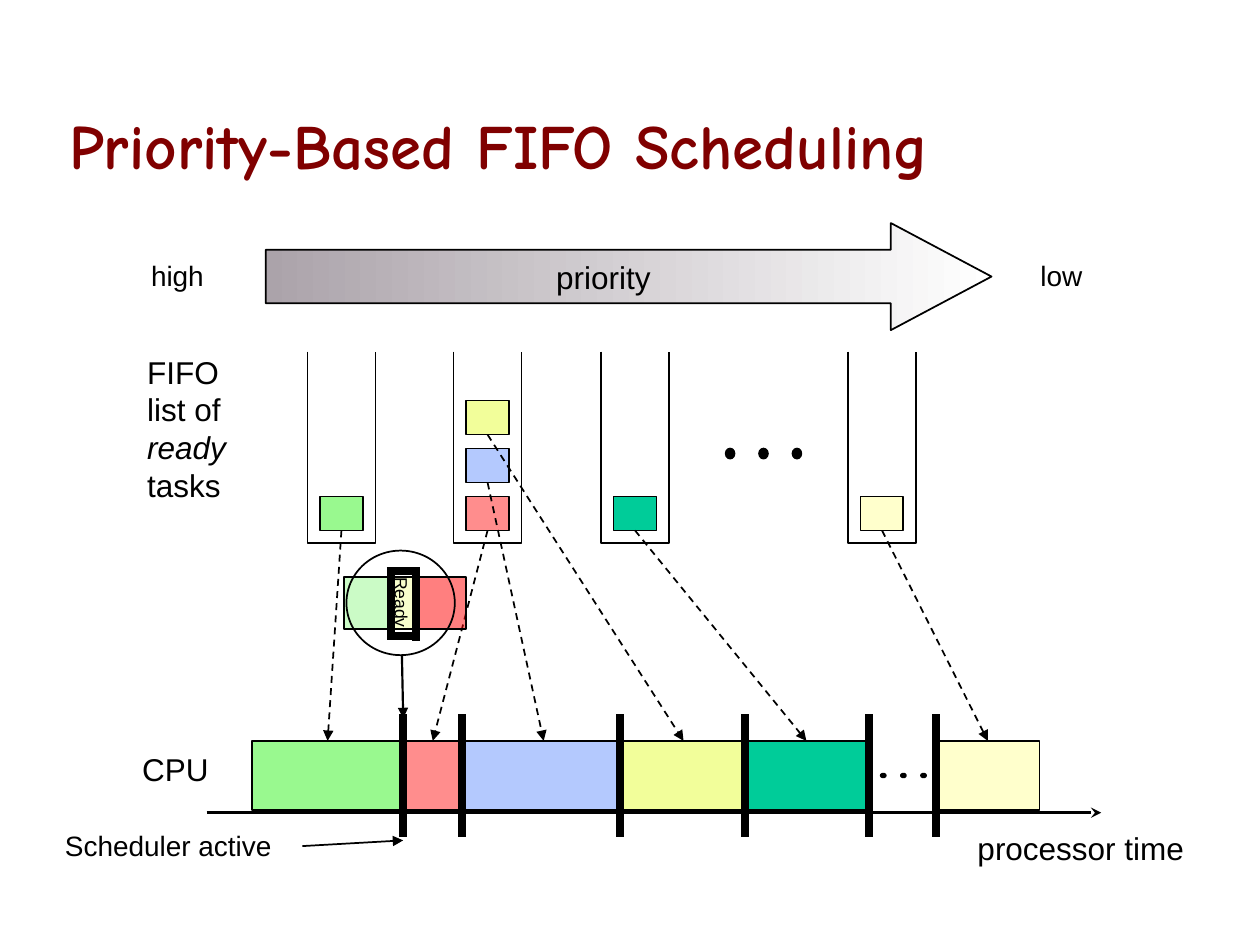
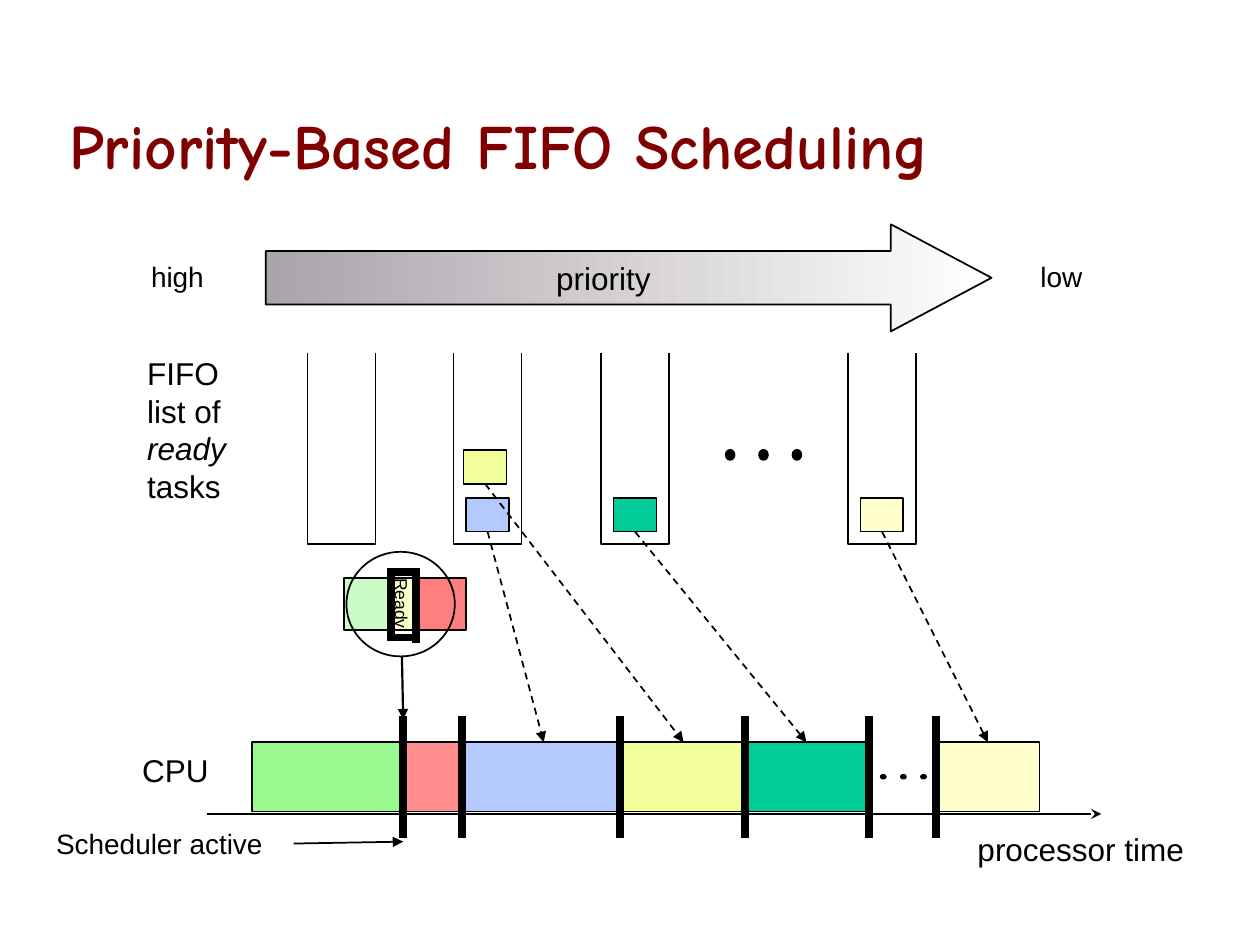
"""Build two slides that step through priority-based FIFO scheduling."""
from dataclasses import dataclass

from pptx import Presentation
from pptx.dml.color import RGBColor
from pptx.enum.dml import MSO_LINE
from pptx.enum.shapes import MSO_CONNECTOR, MSO_SHAPE
from pptx.enum.text import MSO_ANCHOR, MSO_AUTO_SIZE, PP_ALIGN
from pptx.oxml.ns import qn
from pptx.oxml.xmlchemy import OxmlElement
from pptx.util import Inches, Pt

RECT, OVAL, ARROW = MSO_SHAPE.RECTANGLE, MSO_SHAPE.OVAL, MSO_SHAPE.RIGHT_ARROW
STRAIGHT, DASH = MSO_CONNECTOR.STRAIGHT, MSO_LINE.DASH
LEFT, CENTER = PP_ALIGN.LEFT, PP_ALIGN.CENTER
TOP, MIDDLE, BOTTOM = MSO_ANCHOR.TOP, MSO_ANCHOR.MIDDLE, MSO_ANCHOR.BOTTOM
FIT = MSO_AUTO_SIZE.SHAPE_TO_FIT_TEXT

COLORS = {
    "ink": "000000", "title": "800000", "grey": "ABA3AA", "white": "FFFFFF",
    "green": "99F98F", "red": "FF8D8D", "blue": "B4C9FE", "yellow": "F2FE9A",
    "teal": "00CC99", "cream": "FFFFCC", "pure red": "FF0000",
}
TITLE = "Priority-Based FIFO Scheduling"
LABELS = [
    (["high"], (1.1, 2, 0.62, 0.37), 16),
    (["low"], (8.16, 2, 0.54, 0.37), 16),
    (["FIFO", "list of", "ready", "tasks"], (1.07, 2.75, 0.83, 1.3), 18),
    (["CPU"], (1.03, 5.9, 0.73, 0.4), 18),
    (["processor time"], (7.66, 6.53, 1.84, 0.4), 18),
]
ITALIC = {"ready"}
CPU_BLOCKS = {
    "green": (2, 1.2), "red": (3.2, 0.47), "blue": (3.68, 1.27),
    "yellow": (4.94, 0.97), "teal": (5.91, 0.98), "cream": (7.43, 0.82),
}
SWITCHES = [3.2, 3.67, 4.92, 5.91, 6.9, 7.43]
QUEUES = [2.44, 3.6, 4.77, 6.73]
QUEUE_TOP, QUEUE_W, QUEUE_H = 2.79, 0.54, 1.52
TASK_W, TASK_H, TASK_INSET, TASK_TOP, TASK_STEP = 0.34, 0.27, 0.1, 3.94, 0.38
CPU_TOP, CPU_H = 5.88, 0.55
ZOOM_BLOCKS = [("pure red", 3.31, 0.39, ""), ("green", 2.73, 0.37, ""),
               ("yellow", 3.09, 0.2, "Ready")]
ZOOM_FRAME = [((3.1, 4.52), (3.1, 5.08)), ((3.3, 4.53), (3.3, 5.09)),
              ((3.07, 4.53), (3.33, 4.53)), ((3.1, 5.05), (3.32, 5.05))]
STEPS = [
    {"drop": 0, "note": (0.27, 6.53),
     "queues": [["green"], ["red", "blue", "yellow"], ["teal"], ["cream"]],
     "nudge": {}},
    {"drop": 0.01, "note": (0.2, 6.5),
     "queues": [[], ["blue", "yellow"], ["teal"], ["cream"]],
     "nudge": {"yellow": -0.02}},
]


def rgb(name):
    return RGBColor.from_string(COLORS[name])


def write(sp, lines, size, align=LEFT, anchor=TOP, wrap=False, fit=None,
          font="Arial", color="ink", bold=False, spacing=None):
    tf = sp.text_frame
    frame = {"word_wrap": wrap, "auto_size": fit, "vertical_anchor": anchor}
    for name, value in frame.items():
        setattr(tf, name, value)
    for i, line in enumerate(lines):
        p = tf.paragraphs[0] if i == 0 else tf.add_paragraph()
        p.alignment, p.line_spacing = align, spacing
        r = p.add_run()
        r.text = line
        look = {"name": font, "size": Pt(size), "bold": bold, "italic": line in ITALIC}
        for name, value in look.items():
            setattr(r.font, name, value)
        r.font.color.rgb = rgb(color)


@dataclass
class Canvas:
    shapes: object
    drop: float

    def group(self):
        return Canvas(self.shapes.add_group_shape().shapes, self.drop)

    def point(self, x, y):
        return Inches(x), Inches(y + self.drop)

    def shape(self, kind, x, y, w, h, fill=None, alpha=None):
        sp = self.shapes.add_shape(kind, *self.point(x, y), Inches(w), Inches(h))
        sp.shadow.inherit = False
        sp.line.color.rgb, sp.line.width = rgb("ink"), Pt(1)
        if fill is None:
            sp.fill.background()
            return sp
        sp.fill.solid()
        sp.fill.fore_color.rgb = rgb(fill)
        if alpha:
            node = OxmlElement("a:alpha")
            node.set("val", str(alpha * 1000))
            sp.element.spPr.find(qn("a:solidFill"))[0].append(node)
        return sp

    def text(self, lines, box, size, **style):
        x, y, w, h = box
        sp = self.shapes.add_textbox(*self.point(x, y), Inches(w), Inches(h))
        write(sp, lines, size, **style)
        return sp

    def line(self, start, end, width=1, head=None, dash=None):
        c = self.shapes.add_connector(STRAIGHT, *self.point(*start), *self.point(*end))
        c.line.color.rgb, c.line.width = rgb("ink"), Pt(width)
        if dash:
            c.line.dash_style = dash
        if head:
            tail = OxmlElement("a:tailEnd")
            tail.set("type", head)
            c.element.spPr.find(qn("a:ln")).append(tail)
        c.element.spPr.append(OxmlElement("a:effectLst"))
        return c

    def dots(self, xs, y, w, h):
        for x in xs:
            self.shape(OVAL, x, y, w, h, "ink")


def draw_priority(cv):
    sp = cv.shape(ARROW, 2.11, 1.77, 5.76, 0.85, "grey")
    sp.adjustments[0], sp.adjustments[1] = 0.5, 0.94
    sp.fill.gradient()
    sp.fill.gradient_angle = 0
    for stop, color, place in zip(sp.fill.gradient_stops, ("grey", "white"), (0, 1)):
        stop.color.rgb, stop.position = rgb(color), place
    write(sp, ["priority"], 18, align=CENTER, anchor=MIDDLE)


def draw_queues(cv, queues, nudge):
    tasks = {}
    bottom = QUEUE_TOP + QUEUE_H
    for x, names in zip(QUEUES, queues):
        right = x + QUEUE_W
        fb = cv.shapes.build_freeform(*cv.point(x, QUEUE_TOP))
        fb.add_line_segments([cv.point(x, bottom), cv.point(right, bottom),
                              cv.point(right, QUEUE_TOP)], close=False)
        sp = fb.convert_to_shape()
        sp.shadow.inherit = False
        sp.fill.background()
        sp.line.color.rgb, sp.line.width = rgb("ink"), Pt(1)
        for level, name in enumerate(names):
            tasks[name] = cv.shape(RECT, x + TASK_INSET + nudge.get(name, 0),
                                   TASK_TOP - level * TASK_STEP, TASK_W, TASK_H, name)
    cv.dots([5.76 + 0.265 * i for i in range(3)], 3.56, 0.07, 0.08)
    return tasks


def draw_cpu(cv):
    cv.line((1.64, 6.45), (8.74, 6.45), 1.5, "stealth")
    blocks = {name: cv.shape(RECT, x, CPU_TOP, w, CPU_H, name)
              for name, (x, w) in CPU_BLOCKS.items()}
    cv.group().dots([6.99 + 0.16 * i for i in range(3)], 6.14, 0.04, 0.03)
    for x in SWITCHES:
        cv.line((x, 5.67), (x, 6.64), 4.5)
    return blocks


def draw_zoom(cv):
    for color, x, w, label in ZOOM_BLOCKS:
        sp = cv.shape(RECT, x, 4.58, w, 0.41, color, alpha=50)
        if label:
            write(sp, [label], 10, align=CENTER, anchor=MIDDLE)
            tf = sp.text_frame
            tf.margin_left = tf.margin_right = Inches(0.05)
            tf.margin_top = tf.margin_bottom = 0
            sp.element.find(".//" + qn("a:bodyPr")).set("vert", "eaVert")
    for start, end in ZOOM_FRAME:
        cv.line(start, end, 4.5)
    cv.shape(OVAL, 2.75, 4.37, 0.86, 0.83)
    cv.line((3.19, 5.2), (3.2, 5.7), 1.25, "triangle")


def draw_step(slide, step):
    Canvas(slide.shapes, 0).text(
        [TITLE], (0.45, 0.25, 8.97, 1.25), 36, anchor=BOTTOM, wrap=True,
        font="Comic Neue", color="title", bold=True, spacing=0.85)
    cv = Canvas(slide.shapes, step["drop"])
    draw_priority(cv)
    tasks = draw_queues(cv, step["queues"], step["nudge"])
    blocks = draw_cpu(cv)
    for lines, box, size in LABELS:
        cv.text(lines, box, size, fit=FIT)
    note = cv.text(["Scheduler active"], (*step["note"], 2.13, 0.37), 16,
                   align=CENTER, wrap=True, fit=FIT)
    cv.line((2.4, 6.72), (3.2, 6.67), head="triangle").begin_connect(note, 3)
    for name, task in tasks.items():
        c = cv.line((0, 0), (1, 1), head="triangle", dash=DASH)
        c.begin_connect(task, 2)
        c.end_connect(blocks[name], 0)
    draw_zoom(cv.group())


def main():
    prs = Presentation()
    prs.slide_width, prs.slide_height = Inches(10), Inches(7.5)
    for step in STEPS:
        draw_step(prs.slides.add_slide(prs.slide_layouts[6]), step)
    prs.save("out.pptx")


if __name__ == "__main__":
    main()
